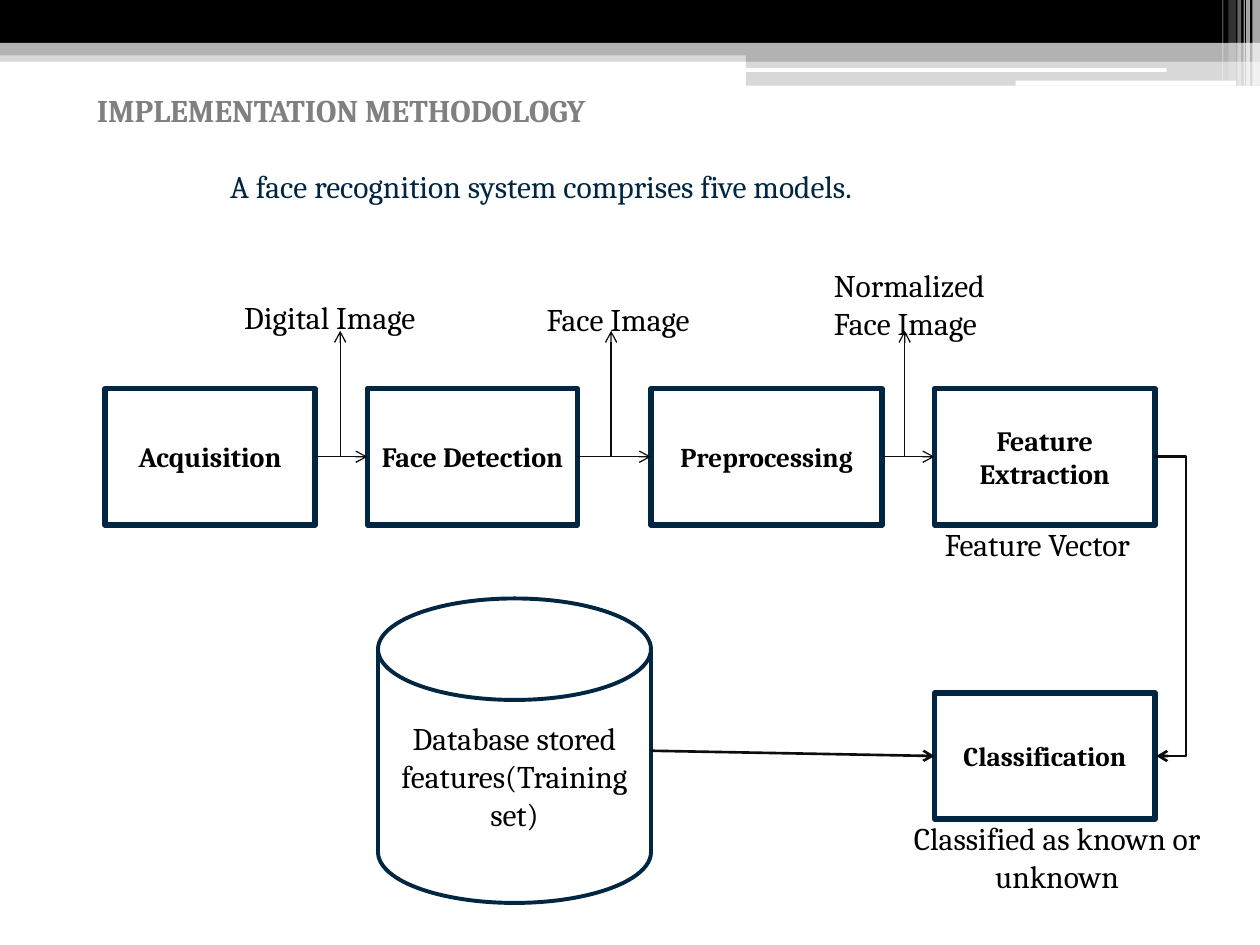
from lxml.etree import SubElement
from pptx import Presentation
from pptx.dml.color import RGBColor
from pptx.enum.shapes import MSO_CONNECTOR, MSO_SHAPE
from pptx.enum.text import MSO_ANCHOR, MSO_AUTO_SIZE, PP_ALIGN
from pptx.oxml.ns import qn
from pptx.util import Inches, Pt

FONT, WHITE, BLACK, GRAY = "Cambria", "FFFFFF", "000000", "B2B2B2"
NAVY, INK = "002642", "0D0D0D"
COLUMNS, ROWS = 120, 90
WIDTH, HEIGHT = 10, 7.5

BANDS = [
    ((0, 0.4, 10, 0.09), GRAY, 50),
    ((0, 0, 10, 0.34), BLACK, 100),
    ((0, 0.34, 10, 0.1), GRAY, 100),
    ((5.92, 0.39, 4.08, 0.1), GRAY, 100),
    ((5.92, 0.48, 4.08, 0.2), GRAY, 50),
]
PILLS = [(5.91, 0.54, 3.35, 0.03), (8.06, 0.64, 1.75, 0.04)]
STRIPES = [
    (9.94, 0.06, 0.68, 65), (9.89, 0.03, 0.68, 65), (9.87, 0.01, 0.68, 60),
    (9.82, 0.03, 0.68, 40), (9.75, 0.06, 0.64, 20), (9.7, 0.01, 0.64, 30),
]
HEADING = [
    ("IMPLEMENTATION METHODOLOGY", "808080", True, PP_ALIGN.LEFT),
    ("A face recognition system comprises five models.", NAVY, False, PP_ALIGN.CENTER),
]
STAGE_ROW, STAGE_ROWS = 37, 13
STAGES = [
    ("Acquisition", 10, 20, 16),
    ("Face Detection", 35, 20, 16),
    ("Preprocessing", 62, 22, 15.5),
    ("Feature Extraction", 89, 21, 16),
]
CLASSIFIER = ("Classification", (89, 66, 21, 12), 15.5)
DATABASE = ("Database stored features(Training set)", (36, 57, 26, 29), 18)
OUTPUT_ARROWS = [2.7, 4.85, 7.18]
LABELS = [
    (["Digital Image"], (1.84, 2.32, 1.83, 0.4), PP_ALIGN.LEFT),
    (["Face Image"], (4.24, 2.33, 1.67, 0.4), PP_ALIGN.LEFT),
    (["Normalized", "Face Image"], (6.52, 2.06, 1.83, 0.71), PP_ALIGN.LEFT),
    (["Feature Vector"], (7.4, 4.12, 2.08, 0.4), PP_ALIGN.LEFT),
    (["Classified as known or unknown"], (7.1, 6.45, 2.58, 0.71), PP_ALIGN.CENTER),
]


def color(value):
    return RGBColor.from_string(value)


def grid(column, row, columns, rows):
    across, down = WIDTH / COLUMNS, HEIGHT / ROWS
    return column * across, row * down, columns * across, rows * down


def add_box(slide, kind, box, fill, alpha=100, line_width=None):
    shape = slide.shapes.add_shape(kind, *map(Inches, box))
    shape.shadow.inherit = False
    shape.fill.solid()
    shape.fill.fore_color.rgb = color(fill)
    if alpha < 100:
        tint = shape.fill._xPr.find(".//" + qn("a:srgbClr"))
        SubElement(tint, qn("a:alpha"), val=str(alpha * 1000))
    if line_width:
        shape.line.color.rgb = color(NAVY)
        shape.line.width = Pt(line_width)
    else:
        shape.line.fill.background()
    return shape


def write(paragraph, text, size, ink=BLACK, bold=False, align=PP_ALIGN.LEFT):
    paragraph.alignment = align
    run = paragraph.add_run()
    run.text = text
    run.font.name, run.font.size, run.font.bold = FONT, Pt(size), bold
    run.font.color.rgb = color(ink)


def add_node(slide, kind, text, box, size, line_width, bold):
    shape = add_box(slide, kind, box, WHITE, line_width=line_width)
    frame = shape.text_frame
    frame.word_wrap = True
    frame.vertical_anchor = MSO_ANCHOR.MIDDLE
    write(frame.paragraphs[0], text, size, bold=bold, align=PP_ALIGN.CENTER)


def add_text(slide, box):
    frame = slide.shapes.add_textbox(*map(Inches, box)).text_frame
    frame.word_wrap = True
    frame.auto_size = MSO_AUTO_SIZE.SHAPE_TO_FIT_TEXT
    return frame


def add_arrow(slide, start, end, width, kind=MSO_CONNECTOR.STRAIGHT):
    arrow = slide.shapes.add_connector(kind, *map(Inches, start + end))
    arrow.line.color.rgb = color(INK)
    arrow.line.width = Pt(width)
    SubElement(arrow.line._get_or_add_ln(), qn("a:tailEnd"), type="arrow")
    SubElement(arrow._element.spPr, qn("a:effectLst"))
    return arrow


def add_decoration(slide):
    for box, fill, alpha in BANDS:
        add_box(slide, MSO_SHAPE.RECTANGLE, box, fill, alpha)
    for box in PILLS:
        add_box(slide, MSO_SHAPE.ROUNDED_RECTANGLE, box, WHITE)
    for left, width, height, alpha in STRIPES:
        add_box(slide, MSO_SHAPE.RECTANGLE, (left, 0, width, height), WHITE, alpha)


def add_heading(slide):
    frame = add_text(slide, (0.67, 0.67, 7.25, 1.31))
    for index, (text, ink, bold, align) in enumerate(HEADING):
        paragraph = frame.add_paragraph() if index else frame.paragraphs[0]
        paragraph.space_before = Pt(22 * index)
        write(paragraph, text, 18, ink, bold, align)


def add_diagram(slide):
    process = MSO_SHAPE.FLOWCHART_PROCESS
    boxes = [grid(column, STAGE_ROW, columns, STAGE_ROWS) for _, column, columns, _ in STAGES]
    for (text, _, _, size), box in zip(STAGES, boxes):
        add_node(slide, process, text, box, size, 3, True)

    text, cells, size = DATABASE
    database = grid(*cells)
    add_node(slide, MSO_SHAPE.FLOWCHART_MAGNETIC_DISK, text, database, size, 2.25, False)
    text, cells, size = CLASSIFIER
    classifier = grid(*cells)
    add_node(slide, process, text, classifier, size, 3, True)

    middle = boxes[0][1] + boxes[0][3] / 2
    for before, after in zip(boxes, boxes[1:]):
        add_arrow(slide, (before[0] + before[2], middle), (after[0], middle), 0.75)
    right = classifier[0] + classifier[2]
    center = classifier[1] + classifier[3] / 2
    elbow = add_arrow(slide, (right, middle), (right + 0.01, center), 1.5, MSO_CONNECTOR.ELBOW)
    guides = elbow._element.spPr.find(qn("a:prstGeom")).get_or_add_avLst()
    SubElement(guides, qn("a:gd"), name="adj1", fmla="val 2500000")
    database_side = (database[0] + database[2], database[1] + database[3] / 2)
    add_arrow(slide, database_side, (classifier[0], center), 1.5)
    for left in OUTPUT_ARROWS:
        add_arrow(slide, (left, middle), (left, middle - 1), 0.75)


def add_labels(slide):
    for lines, box, align in LABELS:
        frame = add_text(slide, box)
        for index, text in enumerate(lines):
            paragraph = frame.add_paragraph() if index else frame.paragraphs[0]
            write(paragraph, text, 18, align=align)


def main():
    """Build the face recognition methodology slide."""
    presentation = Presentation()
    presentation.slide_width, presentation.slide_height = Inches(WIDTH), Inches(HEIGHT)
    slide = presentation.slides.add_slide(presentation.slide_layouts[6])
    add_decoration(slide)
    add_heading(slide)
    add_diagram(slide)
    add_labels(slide)
    presentation.save("out.pptx")


if __name__ == "__main__":
    main()
